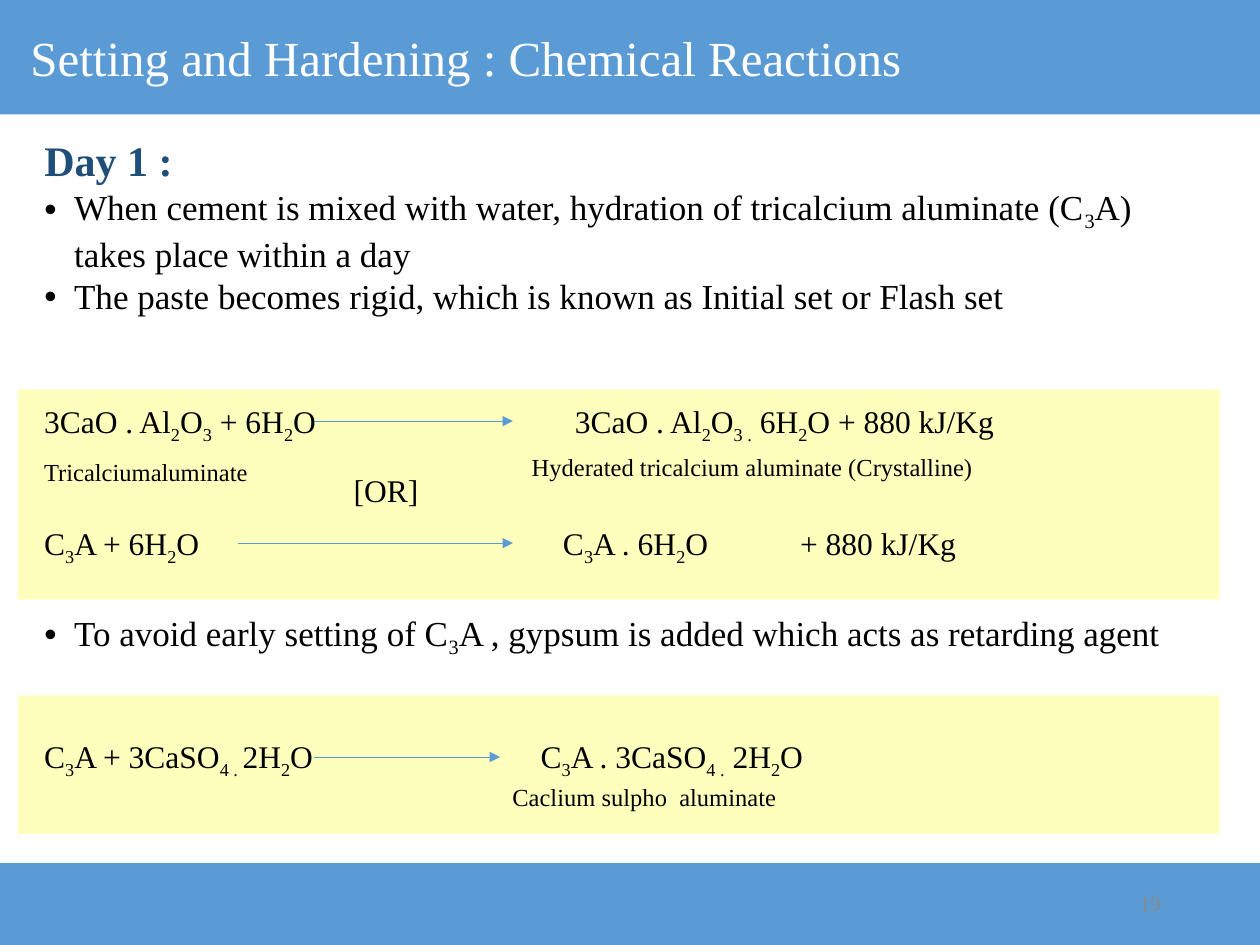
from lxml import etree
from pptx import Presentation
from pptx.dml.color import RGBColor
from pptx.enum.shapes import MSO_CONNECTOR, MSO_SHAPE
from pptx.enum.text import MSO_ANCHOR, MSO_AUTO_SIZE, PP_ALIGN
from pptx.oxml.ns import qn
from pptx.util import Cm, Pt

STRAIGHT = MSO_CONNECTOR.STRAIGHT
RECTANGLE = MSO_SHAPE.RECTANGLE
TOP, MIDDLE = MSO_ANCHOR.TOP, MSO_ANCHOR.MIDDLE
NO_FIT = MSO_AUTO_SIZE.NONE
LEFT, RIGHT = PP_ALIGN.LEFT, PP_ALIGN.RIGHT

FONT = "Times New Roman"
COLORS = {
    "band": "5B9BD5",
    "panel": "FFFF00",
    "title": "FFFFFF",
    "heading": "1F4E79",
    "text": "000000",
    "number": "898989",
}
SLIDE_WIDTH, SLIDE_HEIGHT = 25.4, 19.05


def write(paragraph, text, size=18, color="text", bold=False, align=LEFT, before=0):
    """Fill a paragraph; parts between underscores become subscripts."""
    paragraph.alignment = align
    paragraph.space_before = Pt(before)
    for index, part in enumerate(text.split("_")):
        if not part:
            continue
        run = paragraph.add_run()
        run.text = part
        run.font.name = FONT
        run.font.size = Pt(size)
        run.font.bold = bold
        run.font.color.rgb = RGBColor.from_string(COLORS[color])
        if index % 2:
            run.font._element.set("baseline", "-25000")


def place(shape, box):
    """Move a shape to a box given in centimetres."""
    shape.left, shape.top, shape.width, shape.height = map(Cm, box)


def add_rectangle(shapes, box, color, opacity=None):
    """Add a plain filled rectangle, optionally translucent."""
    rectangle = shapes.add_shape(RECTANGLE, *map(Cm, box))
    rectangle.shadow.inherit = False
    rectangle.line.fill.background()
    rectangle.fill.solid()
    rectangle.fill.fore_color.rgb = RGBColor.from_string(COLORS[color])
    if opacity:
        tint = rectangle._element.spPr.find(".//" + qn("a:srgbClr"))
        etree.SubElement(tint, qn("a:alpha")).set("val", str(opacity * 1000))


def add_line_of_text(shapes, box, text, tabs=(), **style):
    """Add a one-paragraph text box with tab stops in centimetres."""
    textbox = shapes.add_textbox(*map(Cm, box))
    textbox.text_frame.word_wrap = True
    paragraph = textbox.text_frame.paragraphs[0]
    if tabs:
        stops = etree.SubElement(paragraph._p.get_or_add_pPr(), qn("a:tabLst"))
        for position in tabs:
            etree.SubElement(stops, qn("a:tab"), pos=str(Cm(position)), algn="l")
    write(paragraph, text, **style)


def add_arrow(shapes, start, end, y):
    """Add a thin horizontal reaction arrow."""
    arrow = shapes.add_connector(STRAIGHT, Cm(start), Cm(y), Cm(end), Cm(y))
    arrow.line.color.rgb = RGBColor.from_string(COLORS["band"])
    arrow.line.width = Pt(0.5)
    etree.SubElement(arrow.line._get_or_add_ln(), qn("a:tailEnd"), type="triangle")
    etree.SubElement(arrow._element.spPr, qn("a:effectLst"))


def add_header(slide, box):
    """Draw the top band with the slide title on it."""
    left, top, _, _ = box
    add_rectangle(slide.shapes, box, "band")
    title = slide.shapes.title
    slide.shapes._spTree.append(title._element)
    place(title, (left + 0.36, top + 0.43, 18.64, 1.45))
    title.text_frame.vertical_anchor = MIDDLE
    title.text_frame.auto_size = NO_FIT
    write(title.text_frame.paragraphs[0], "Setting and Hardening : Chemical Reactions",
          size=28, color="title")


def add_footer(slide, box, number):
    """Draw the bottom band with the slide number."""
    left, top, _, _ = box
    add_rectangle(slide.shapes, box, "band")
    add_line_of_text(slide.shapes, (left + 21.1, top + 0.42, 2.55, 0.76), number,
                     size=12, color="number", align=RIGHT)


def add_description(slide, box):
    """Fill the body with the heading and bullets around the first panel."""
    body = slide.placeholders[1]
    slide.shapes._spTree.append(body._element)
    place(body, box)
    frame = body.text_frame
    frame.vertical_anchor = TOP
    frame.auto_size = NO_FIT
    heading = frame.paragraphs[0]
    properties = heading._p.get_or_add_pPr()
    properties.set("marL", "0")
    properties.set("indent", "0")
    etree.SubElement(properties, qn("a:buNone"))
    write(heading, "Day 1 :", size=24, color="heading", bold=True)
    bullets = [
        ("When cement is mixed with water, hydration of tricalcium aluminate (C_3_A) "
         "takes place within a day", 0),
        ("The paste becomes rigid, which is known as Initial set or Flash set", 0),
        ("To avoid early setting of C_3_A , gypsum is added which acts as retarding agent",
         168),
    ]
    for text, before in bullets:
        bullet = frame.add_paragraph()
        properties = bullet._p.get_or_add_pPr()
        properties.set("marL", str(Cm(0.6)))
        properties.set("indent", str(-Cm(0.6)))
        write(bullet, text, size=20, before=before)


def add_reaction_panel(shapes, box, equations, labels, arrows):
    """Draw a tinted panel with equations, labels and arrows offset from its corner."""
    left, top, _, _ = box
    add_rectangle(shapes, box, "panel", opacity=26)
    for y, text, tabs in equations:
        add_line_of_text(shapes, (left + 0.28, top + y, 23.2, 1.12), text, tabs)
    for x, y, width, text, size in labels:
        add_line_of_text(shapes, (left + x, top + y, width, 0.9), text, size=size)
    for start, end, y in arrows:
        add_arrow(shapes, left + start, left + end, top + y)


def main():
    """Build and save the slide."""
    deck = Presentation()
    deck.slide_width, deck.slide_height = Cm(SLIDE_WIDTH), Cm(SLIDE_HEIGHT)
    slide = deck.slides.add_slide(deck.slide_layouts[1])
    add_header(slide, (0, 0, SLIDE_WIDTH, 2.31))
    add_footer(slide, (0, 17.4, SLIDE_WIDTH, 1.65), "19")
    add_description(slide, (0.64, 2.59, 23.01, 10.82))
    add_reaction_panel(
        slide.shapes, (0.36, 7.85, 24.23, 4.24),
        equations=[
            (0.13, "3CaO . Al_2_O_3_ + 6H_2_O\t3CaO . Al_2_O_3 ._ 6H_2_O + 880 kJ/Kg", [10.7]),
            (2.59, "C_3_A + 6H_2_O\tC_3_A . 6H_2_O\t+ 880 kJ/Kg", [10.46, 15.24]),
        ],
        labels=[
            (6.52, 1.52, 2.11, "[OR]", 18),
            (0.28, 1.24, 6.5, "Tricalciumaluminate", 14),
            (10.11, 1.14, 9.63, "Hyderated tricalcium aluminate (Crystalline)", 14),
        ],
        arrows=[(5.97, 9.98, 0.64), (4.44, 9.98, 3.1)],
    )
    add_reaction_panel(
        slide.shapes.add_group_shape().shapes, (0.36, 14.02, 24.23, 2.79),
        equations=[
            (0.71, "C_3_A + 3CaSO_4 . _2H_2_O\tC_3_A . 3CaSO_4 ._ 2H_2_O", [10.01]),
        ],
        labels=[(9.72, 1.63, 9.63, "Caclium sulpho  aluminate", 14)],
        arrows=[(5.97, 9.72, 1.24)],
    )
    deck.save("out.pptx")


if __name__ == "__main__":
    main()
